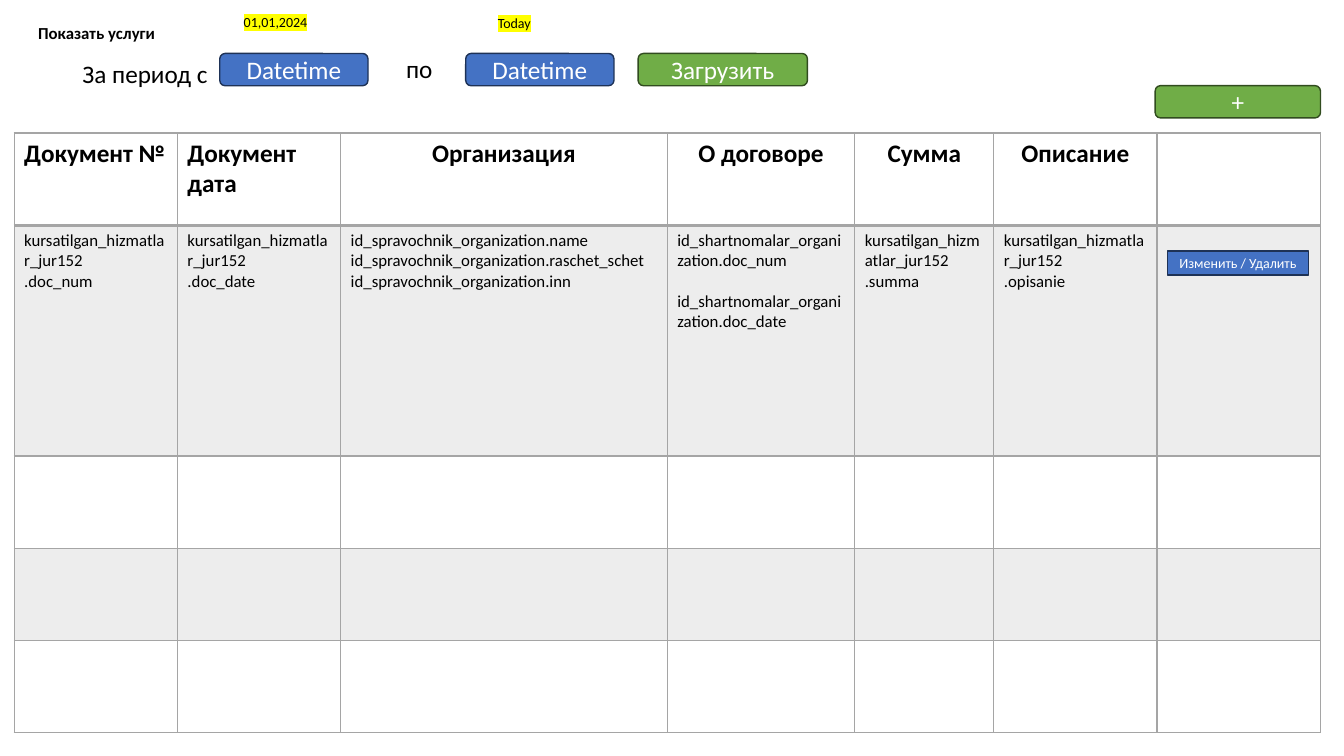
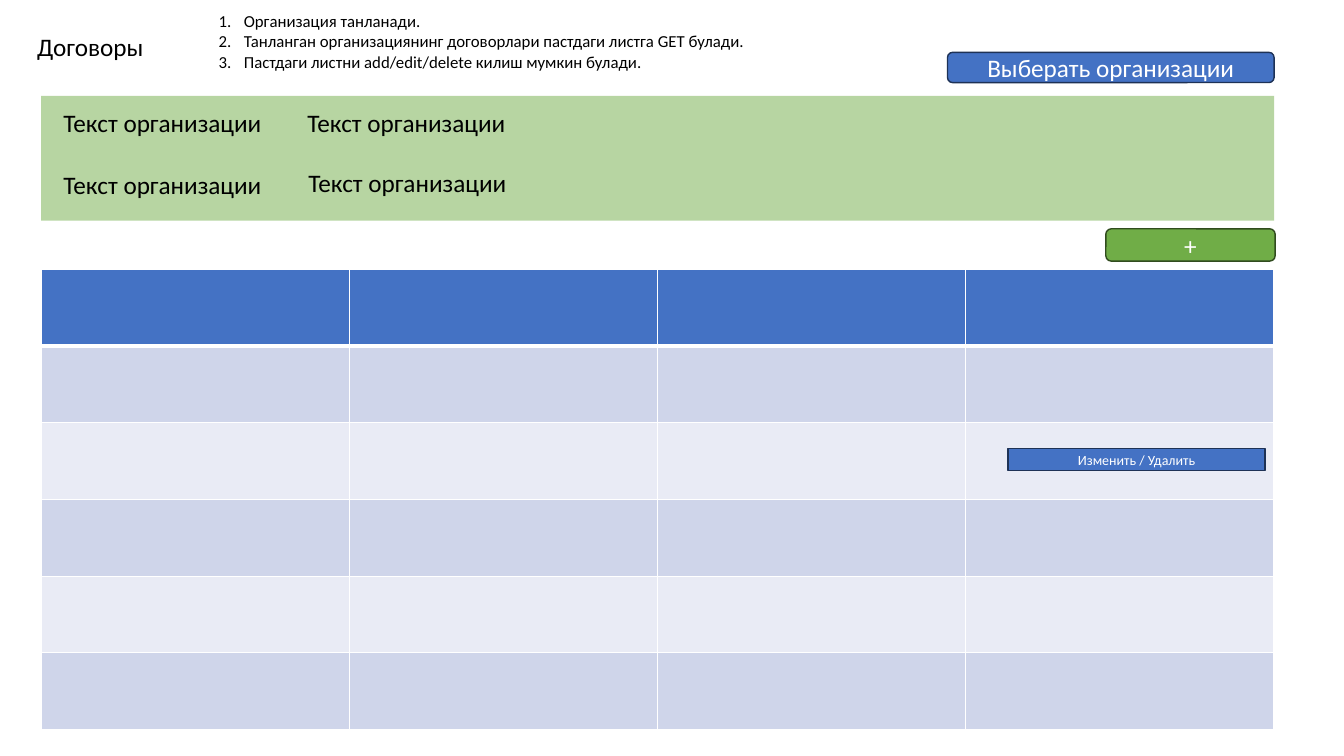
from dataclasses import dataclass

from lxml.etree import SubElement
from pptx import Presentation
from pptx.dml.color import RGBColor
from pptx.enum.shapes import MSO_SHAPE
from pptx.enum.text import MSO_ANCHOR, MSO_AUTO_SIZE, PP_ALIGN
from pptx.oxml.ns import qn
from pptx.oxml.xmlchemy import BaseOxmlElement
from pptx.slide import Slide
from pptx.table import _Cell
from pptx.text.text import _Paragraph
from pptx.util import Emu, Inches, Pt

FONT = "Calibri"
BLACK = RGBColor(0x00, 0x00, 0x00)
WHITE = RGBColor(0xFF, 0xFF, 0xFF)
BLUE = RGBColor(0x44, 0x72, 0xC4)
NAVY = RGBColor(0x1E, 0x32, 0x56)
GREEN = RGBColor(0x70, 0xAD, 0x47)
DARK_GREEN = RGBColor(0x31, 0x4C, 0x1F)
YELLOW = RGBColor(0xFF, 0xFF, 0x00)
GREY = RGBColor(0xA5, 0xA5, 0xA5)
BAND_DARK = RGBColor(0xCF, 0xD5, 0xEA)
BAND_LIGHT = RGBColor(0xE9, 0xEB, 0xF5)

WIDTH, HEIGHT = Inches(13.33), Inches(7.5)
LIST_INDENT = Inches(0.25)
BUTTON_HEIGHT = 4.27
EDIT_TEXT = "Изменить / Удалить"
SERVICE = "kursatilgan_hizmatlar_jur152"
ORGANIZATION = "id_spravochnik_organization"
CONTRACT = "id_shartnomalar_organization"


@dataclass(frozen=True)
class Area:
    """A rectangle in percent of the slide's width and height."""

    left: float
    top: float
    width: float
    height: float

    def box(self) -> tuple[Emu, Emu, Emu, Emu]:
        """Return the rectangle in slide units."""
        return (
            Emu(round(WIDTH * self.left / 100)),
            Emu(round(HEIGHT * self.top / 100)),
            Emu(round(WIDTH * self.width / 100)),
            Emu(round(HEIGHT * self.height / 100)),
        )


@dataclass(frozen=True)
class Label:
    """Free text, one entry per paragraph."""

    area: Area
    lines: tuple[str, ...]
    size: int = 18
    bold: bool = False
    highlight: RGBColor | None = None
    numbered: bool = False


@dataclass(frozen=True)
class Button:
    """A filled, outlined shape with a centred caption."""

    area: Area
    text: str
    fill: RGBColor = BLUE
    line: RGBColor = NAVY
    shape: MSO_SHAPE = MSO_SHAPE.ROUNDED_RECTANGLE
    size: int = 18


@dataclass(frozen=True)
class Fill:
    """A colour with its opacity in percent."""

    color: RGBColor
    opacity: int = 100


@dataclass(frozen=True)
class Grid:
    """A table with column and row weights, and one fill per row."""

    area: Area
    columns: tuple[int, ...]
    rows: tuple[int, ...]
    fills: tuple[Fill | None, ...]
    border: RGBColor
    header_line: int


@dataclass(frozen=True)
class Column:
    """A heading and the fields listed below it."""

    heading: str
    fields: tuple[str, ...] = ()
    align: PP_ALIGN = PP_ALIGN.CENTER
    gap: float = 0


def add_span(para: _Paragraph, text: str, size: int, color: RGBColor = BLACK,
             bold: bool = False, highlight: RGBColor | None = None) -> None:
    """Add one formatted run to a paragraph."""
    span = para.add_run()
    span.text = text
    span.font.color.rgb = color
    for name, value in {"name": FONT, "size": Pt(size), "bold": bold}.items():
        setattr(span.font, name, value)
    if highlight is not None:
        properties = span._r.get_or_add_rPr()
        mark = SubElement(properties, qn("a:highlight"))
        SubElement(mark, qn("a:srgbClr"), val=str(highlight))
        properties.find(qn("a:solidFill")).addnext(mark)


def number_para(para: _Paragraph) -> None:
    """Give a paragraph a hanging automatic number."""
    properties = para._p.get_or_add_pPr()
    for name, value in {"marL": LIST_INDENT, "indent": -LIST_INDENT}.items():
        properties.set(name, str(int(value)))
    SubElement(properties, qn("a:buFont"), typeface="+mj-lt")
    SubElement(properties, qn("a:buAutoNum"), type="arabicPeriod")


def set_opacity(properties: BaseOxmlElement, opacity: int) -> None:
    """Set the opacity of a solid fill."""
    color = properties.find(qn("a:solidFill")).find(qn("a:srgbClr"))
    SubElement(color, qn("a:alpha"), val=str(opacity * 1000))


def add_label(page: Slide, label: Label) -> None:
    """Draw free text that does not wrap."""
    frame = page.shapes.add_textbox(*label.area.box()).text_frame
    settings = {"word_wrap": False, "auto_size": MSO_AUTO_SIZE.SHAPE_TO_FIT_TEXT}
    for name, value in settings.items():
        setattr(frame, name, value)
    for index, line in enumerate(label.lines):
        para = frame.add_paragraph() if index else frame.paragraphs[0]
        if label.numbered:
            number_para(para)
        add_span(para, line, label.size, bold=label.bold, highlight=label.highlight)


def add_button(page: Slide, button: Button) -> None:
    """Draw a button."""
    box = page.shapes.add_shape(button.shape, *button.area.box())
    box.shadow.inherit = False
    box.fill.solid()
    box.fill.fore_color.rgb = button.fill
    box.line.color.rgb = button.line
    box.line.width = Pt(1)
    frame = box.text_frame
    for name, value in {"word_wrap": True, "vertical_anchor": MSO_ANCHOR.MIDDLE}.items():
        setattr(frame, name, value)
    para = frame.paragraphs[0]
    para.alignment = PP_ALIGN.CENTER
    add_span(para, button.text, button.size, WHITE)


def add_panel(page: Slide, area: Area, fill: Fill) -> None:
    """Draw a translucent rectangle without an outline."""
    box = page.shapes.add_shape(MSO_SHAPE.RECTANGLE, *area.box())
    box.shadow.inherit = False
    box.fill.solid()
    box.fill.fore_color.rgb = fill.color
    box.line.fill.background()
    set_opacity(box._element.spPr, fill.opacity)


def style_cell(cell: _Cell, fill: Fill | None, color: RGBColor,
               widths: dict[str, int]) -> None:
    """Set the fill and the four borders of a cell."""
    if fill is None:
        cell.fill.background()
    else:
        cell.fill.solid()
        cell.fill.fore_color.rgb = fill.color
        set_opacity(cell._tc.tcPr, fill.opacity)
    for index, (side, width) in enumerate(widths.items()):
        line = SubElement(cell._tc.tcPr, qn(f"a:ln{side}"), w=str(int(Pt(width))))
        solid = SubElement(line, qn("a:solidFill"))
        SubElement(solid, qn("a:srgbClr"), val=str(color))
        cell._tc.tcPr.insert(index, line)


def add_grid(page: Slide, grid: Grid, contents: tuple[Column, ...] = ()) -> None:
    """Draw a table and fill its heading and field rows."""
    left, top, width, height = grid.area.box()
    table = page.shapes.add_table(
        len(grid.rows), len(grid.columns), left, top, width, height).table
    for name in ("first_row", "horz_banding"):
        setattr(table, name, False)
    for column, weight in zip(table.columns, grid.columns):
        column.width = Emu(width * weight // sum(grid.columns))
    for index, (row, weight) in enumerate(zip(table.rows, grid.rows)):
        row.height = Emu(height * weight // sum(grid.rows))
        widths = {
            "L": 1,
            "R": 1,
            "T": grid.header_line if index == 1 else 1,
            "B": grid.header_line if index == 0 else 1,
        }
        for cell in row.cells:
            style_cell(cell, grid.fills[index], grid.border, widths)
    for index, column in enumerate(contents):
        heading = table.cell(0, index).text_frame.paragraphs[0]
        heading.alignment = column.align
        add_span(heading, column.heading, 18, bold=True)
        frame = table.cell(1, index).text_frame
        for position, field in enumerate(column.fields):
            para = frame.add_paragraph() if position else frame.paragraphs[0]
            if position and column.gap:
                para.space_before = Pt(column.gap)
            add_span(para, field, 12)


def add_plus(page: Slide, left: float, top: float, width: float) -> None:
    """Draw the green button that adds a row."""
    add_button(page, Button(Area(left, top, width, BUTTON_HEIGHT), "+", GREEN, DARK_GREEN))


def add_edit(page: Slide, area: Area) -> None:
    """Draw the small button that edits or deletes a row."""
    add_button(page, Button(area, EDIT_TEXT, shape=MSO_SHAPE.RECTANGLE, size=10))


def draw_services(page: Slide) -> None:
    """Draw the list of services for a period."""
    labels = (
        Label(Area(2.1, 2.4, 10.28, 4), ("Показать услуги",), 12, bold=True),
        Label(Area(5.4, 7.07, 10.95, 5.33), ("За период с",)),
        Label(Area(29.48, 6.4, 3.53, 5.33), ("по",)),
        Label(Area(17.4, 1.07, 6.38, 3.6), ("01,01,2024",), 10, highlight=YELLOW),
        Label(Area(36.3, 1.2, 4.13, 3.6), ("Today",), 10, highlight=YELLOW),
    )
    for label in labels:
        add_label(page, label)
    for left in (16.35, 34.65):
        add_button(page, Button(Area(left, 7.07, 11.03, BUTTON_HEIGHT), "Datetime"))
    add_button(page, Button(
        Area(47.48, 7.07, 12.6, BUTTON_HEIGHT), "Загрузить", GREEN, DARK_GREEN))
    shade = Fill(GREY, 20)
    grid = Grid(Area(1.05, 17.6, 97.2, 79.33), (27, 27, 54, 31, 23, 27, 27),
                (2, 5, 2, 2, 2), (None, shade, None, shade, None), GREY, 2)
    add_grid(page, grid, (
        Column("Документ №", (SERVICE, ".doc_num"), PP_ALIGN.LEFT),
        Column("Документ дата", (SERVICE, ".doc_date"), PP_ALIGN.LEFT),
        Column("Организация", tuple(
            f"{ORGANIZATION}.{field}" for field in ("name", "raschet_schet", "inn"))),
        Column("О договоре", (f"{CONTRACT}.doc_num", f"{CONTRACT}.doc_date"), gap=14.4),
        Column("Сумма", (SERVICE, ".summa")),
        Column("Описание", (SERVICE, ".opisanie")),
    ))
    add_plus(page, 85.95, 11.33, 12.3)
    add_edit(page, Area(86.85, 33.2, 10.5, 3.2))


def draw_contracts(page: Slide) -> None:
    """Draw the list of contracts of an organization."""
    add_label(page, Label(Area(2.02, 3.47, 9.52, 5.33), ("Договоры",)))
    add_panel(page, Area(3.07, 12.67, 91.73, 16.53), Fill(GREEN, 50))
    add_button(page, Button(Area(70.5, 6.93, 24.3, 4), "Выберать организации"))
    for left, top in ((3.98, 13.6), (3.98, 21.73), (22.13, 13.6), (22.2, 21.47)):
        add_label(page, Label(Area(left, top, 16.43, 5.33), ("Текст организации",)))
    bands = (Fill(BAND_DARK), Fill(BAND_LIGHT))
    add_grid(page, Grid(Area(3.07, 35.6, 91.73, 60.93), (1,) * 4, (1,) * 6,
                        (Fill(BLUE), *bands, *bands, bands[0]), WHITE, 3))
    add_label(page, Label(Area(15.53, 0.8, 41.02, 9.47), (
        "Организация танланади.",
        "Танланган организациянинг договорлари пастдаги листга GET булади.",
        "Пастдаги листни add/edit/delete килиш мумкин булади.",
    ), 12, numbered=True))
    add_plus(page, 82.28, 30.27, 12.6)
    add_edit(page, Area(75, 59.33, 19.12, 2.93))


def main() -> None:
    """Build and save the deck."""
    deck = Presentation()
    for name, value in {"slide_width": WIDTH, "slide_height": HEIGHT}.items():
        setattr(deck, name, value)
    for draw in (draw_services, draw_contracts):
        draw(deck.slides.add_slide(deck.slide_layouts[6]))
    deck.save("out.pptx")


if __name__ == "__main__":
    main()
